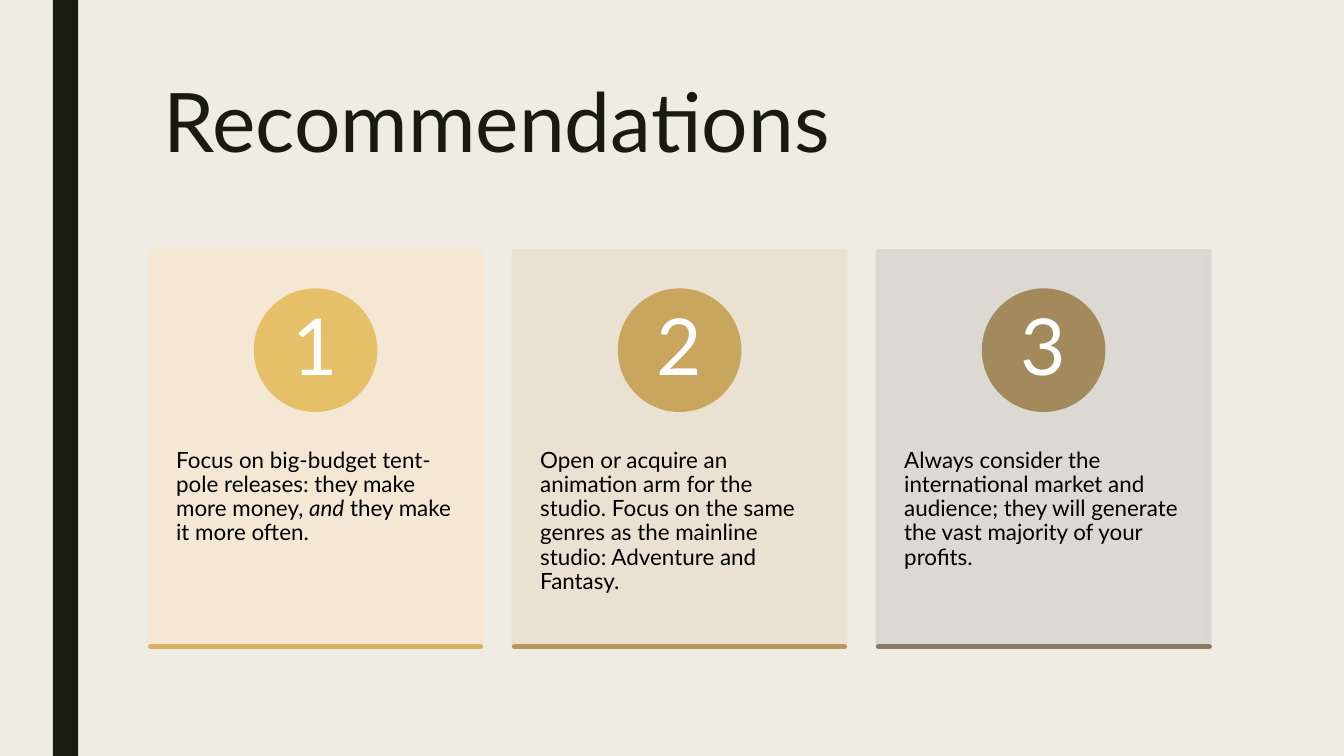
from lxml import etree
from pptx import Presentation
from pptx.dml.color import RGBColor
from pptx.enum.shapes import MSO_SHAPE
from pptx.enum.text import MSO_ANCHOR, PP_ALIGN
from pptx.oxml.ns import qn
from pptx.util import Cm, Pt

RECT, OVAL = MSO_SHAPE.RECTANGLE, MSO_SHAPE.OVAL
TOP, MIDDLE = MSO_ANCHOR.TOP, MSO_ANCHOR.MIDDLE
LEFT, CENTER = PP_ALIGN.LEFT, PP_ALIGN.CENTER

FONT = "Lato"
DARK = "191B0E"
PITCH = 6.88  # distance between the left edges of cards

# Card tint, circle colour, bar colour, text runs as (words, italic)
CARDS = [
    ("F5E8D4", "E6C069", "D9B362",
     [("Focus on big-budget tent-pole releases: they make more money, ", False),
      ("and", True),
      (" they make it more often.", False)]),
    ("EAE0D1", "C9A65E", "B7995B",
     [("Open or acquire an animation arm for the studio. Focus on the same "
       "genres as the mainline studio: Adventure and Fantasy.", False)]),
    ("DAD7D2", "A38A5C", "897B61",
     [("Always consider the international market and audience; they will "
       "generate the vast majority of your profits.", False)]),
]


def color(code):
    return RGBColor.from_string(code)


def add_form(slide, kind, box, code, line=2.75, alpha=None):
    """Add a shape with fill and line of one colour; alpha in percent."""
    form = slide.shapes.add_shape(kind, *map(Cm, box))
    form.shadow.inherit = False
    form.fill.solid()
    form.fill.fore_color.rgb = color(code)
    if line:
        form.line.color.rgb = color(code)
        form.line.width = Pt(line)
    else:
        form.line.fill.background()
    if alpha:
        for tint in form.fill._xPr.iter(qn("a:srgbClr")):
            etree.SubElement(tint, qn("a:alpha"), val=str(alpha * 1000))


def add_text(slide, box, runs, size, code, inset, align=LEFT, anchor=TOP):
    """Add a one-paragraph text box; inset is (side, top and bottom)."""
    frame = slide.shapes.add_textbox(*map(Cm, box)).text_frame
    frame.word_wrap = True
    frame.vertical_anchor = anchor
    frame.margin_left = frame.margin_right = Cm(inset[0])
    frame.margin_top = frame.margin_bottom = Cm(inset[1])
    para = frame.paragraphs[0]
    para.alignment = align
    para.line_spacing = 0.9
    para.font.name = FONT
    para.font.size = Pt(size)
    para.font.color.rgb = color(code)
    for words, slant in runs:
        run = para.add_run()
        run.text = words
        if slant:
            run.font.italic = True


def add_card(slide, box, number, tint, disc, bar, runs):
    left, top, width, height = box
    # Panel and advice
    add_form(slide, RECT, box, tint, alpha=90)
    add_text(slide, (left, top + 2.82, width, 4.47), runs, 12, "000000",
             (0.49, 0.91))
    # Numbered circle, centred across the card
    size, inner = 2.24, 1.58
    mid, level = left + width / 2, top + 1.86
    add_form(slide, OVAL, (mid - size / 2, level - size / 2, size, size), disc)
    add_text(slide, (mid - inner / 2, level - inner / 2, inner, inner),
             [(str(number), False)], 42, "FFFFFF", (0.17, 0.02),
             CENTER, MIDDLE)
    # Bar along the foot
    add_form(slide, RECT, (left, top + height, width, 0), bar)


def main():
    deck = Presentation()
    deck.slide_width, deck.slide_height = Cm(25.4), Cm(14.29)
    slide = deck.slides.add_slide(deck.slide_layouts[6])
    slide.background.fill.solid()
    slide.background.fill.fore_color.rgb = color("EFEDE3")

    # Side stripe and title
    add_form(slide, RECT, (1, 0, 0.48, 14.29), DARK, line=None)
    add_text(slide, (2.84, 1.42, 20.02, 3.1), [("Recommendations", False)],
             44, DARK, (0.25, 0.13))

    # Row of cards
    for index, card in enumerate(CARDS):
        box = (2.84 + index * PITCH, 4.76, 6.25, 7.46)
        add_card(slide, box, index + 1, *card)

    deck.save("out.pptx")


if __name__ == "__main__":
    main()
